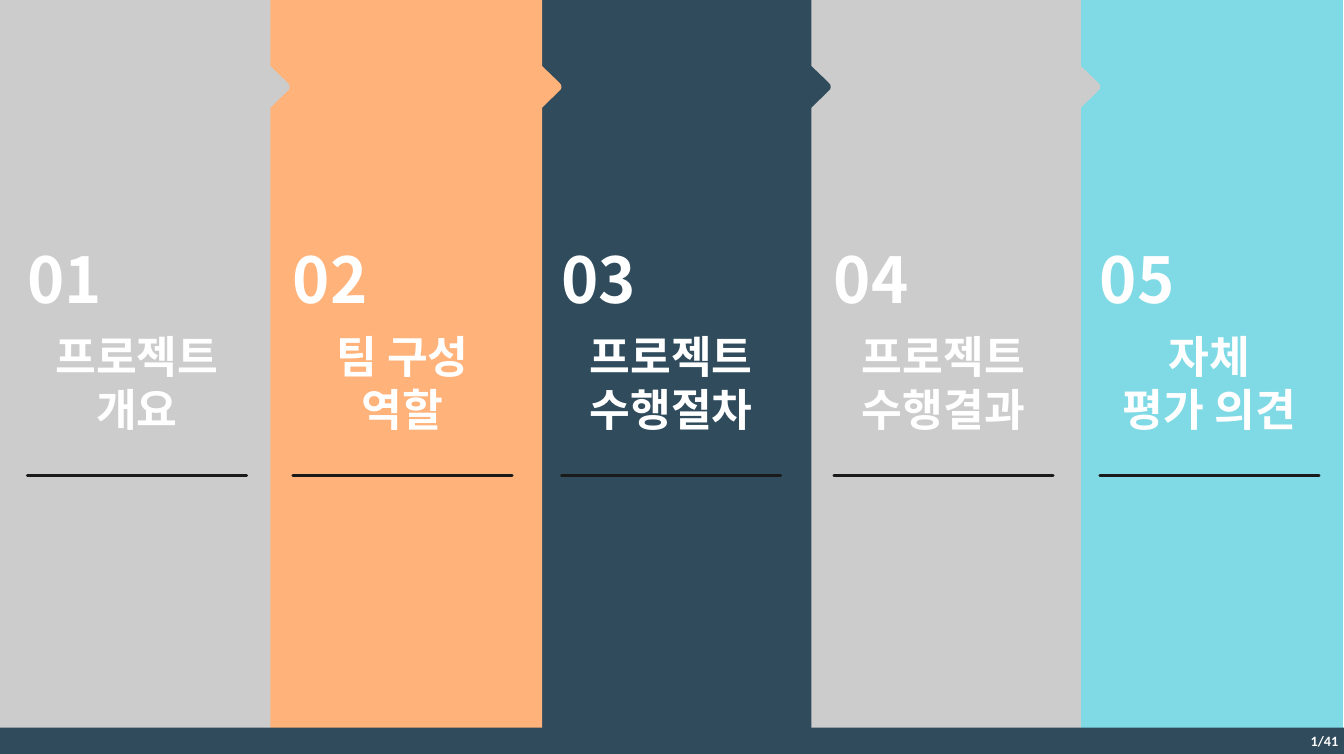
from pptx import Presentation
from pptx import util as u
from pptx.dml.color import RGBColor
from pptx.enum import shapes, text
from pptx.oxml.ns import qn
from lxml import etree

GREY = RGBColor(0xCC, 0xCC, 0xCC)
ORANGE = RGBColor(0xFF, 0xB2, 0x79)
NAVY = RGBColor(0x2F, 0x4B, 0x5C)
AQUA = RGBColor(0x80, 0xDA, 0xE5)
BLACK = RGBColor(0x1A, 0x1A, 0x1A)
WHITE = RGBColor(0xFF, 0xFF, 0xFF)
KOREAN_FONT = "Noto Sans CJK KR"
FOOTER_FONT = "Calibri"
WIDTH, HEIGHT = 59.94, 33.63
COLUMN_WIDTH = 9.78
PANEL_OUTLINE = [(0, 0), (12.14, 0), (12.14, 2.95), (12.9, 3.68), (12.98, 3.78),
                 (13, 3.88), (12.98, 3.97), (12.9, 4.06), (12.14, 4.8),
                 (12.14, HEIGHT), (0, HEIGHT)]
PANELS = [(36.07, GREY), (24.05, NAVY), (12.04, ORANGE), (-0.08, GREY)]
SECTIONS = [
    (1.22, ["프로젝트", "개요"]),
    (13.06, ["팀 구성 역할"]),
    (25.04, ["프로젝트", "수행절차"]),
    (37.19, ["프로젝트", "수행결과"]),
    (49.05, ["자체", "평가 의견"]),
]


class AgendaSlide:
    """Draws the agenda elements in one shared style."""

    def __init__(self, prs):
        self.s = prs.slides.add_slide(prs.slide_layouts[6])

    def paint(self, sp, color):
        sp.shadow.inherit = False
        sp.fill.solid()
        sp.fill.fore_color.rgb = color
        sp.line.fill.background()

    def rect(self, x, y, w, h, color):
        sp = self.s.shapes.add_shape(shapes.MSO_SHAPE.RECTANGLE,
                                     u.Cm(x), u.Cm(y), u.Cm(w), u.Cm(h))
        self.paint(sp, color)
        return sp

    def panel(self, left, color):
        points = [(u.Cm(left + x), u.Cm(y)) for x, y in PANEL_OUTLINE]
        builder = self.s.shapes.build_freeform(*points[0])
        builder.add_line_segments(points[1:])
        self.paint(builder.convert_to_shape(), color)

    def rule(self, x, y, w):
        line = self.s.shapes.add_connector(shapes.MSO_CONNECTOR.STRAIGHT,
                                           u.Cm(x), u.Cm(y), u.Cm(x + w), u.Cm(y))
        line.line.color.rgb = BLACK
        line.line.width = u.Pt(3.5)
        line.get_or_add_ln().set("cap", "rnd")
        etree.SubElement(line._element.spPr, qn("a:effectLst"))

    def add_lines(self, tf, lines, size, align, font):
        for i, words in enumerate(lines):
            p = tf.add_paragraph() if i else tf.paragraphs[0]
            p.alignment = align
            r = p.add_run()
            r.text = words
            r.font.size = u.Pt(size)
            r.font.name = font
            r.font.bold = True
            r.font.color.rgb = WHITE
            east_asian = etree.SubElement(r.font._element, qn("a:ea"))
            east_asian.set("typeface", font)

    def label(self, x, y, w, h, lines, size, align, wrap):
        tf = self.s.shapes.add_textbox(u.Cm(x), u.Cm(y), u.Cm(w), u.Cm(h)).text_frame
        tf.margin_left = tf.margin_right = tf.margin_top = tf.margin_bottom = 0
        tf.word_wrap = wrap
        self.add_lines(tf, lines, size, align, KOREAN_FONT)

    def section(self, number, x, lines):
        self.rule(x, 21.22, COLUMN_WIDTH)
        self.label(x, 10.72, 3.48, 3.43, [f"{number:02}"], 80, text.PP_ALIGN.LEFT, False)
        self.label(x, 14.68, COLUMN_WIDTH, 4.78, lines, 56, text.PP_ALIGN.CENTER, True)

    def footer(self, words):
        tf = self.rect(0, 32.46, WIDTH, 1.17, NAVY).text_frame
        tf.vertical_anchor = text.MSO_ANCHOR.MIDDLE
        self.add_lines(tf, [words], 18, text.PP_ALIGN.RIGHT, FOOTER_FONT)


def main():
    prs = Presentation()
    prs.slide_width, prs.slide_height = u.Cm(WIDTH), u.Cm(HEIGHT)
    agenda = AgendaSlide(prs)
    agenda.rect(0.05, 0, 59.84, HEIGHT, AQUA)
    for left, color in PANELS:
        agenda.panel(left, color)
    for number, (x, lines) in enumerate(SECTIONS, 1):
        agenda.section(number, x, lines)
    agenda.footer("1/41")
    prs.save("out.pptx")


if __name__ == "__main__":
    main()
